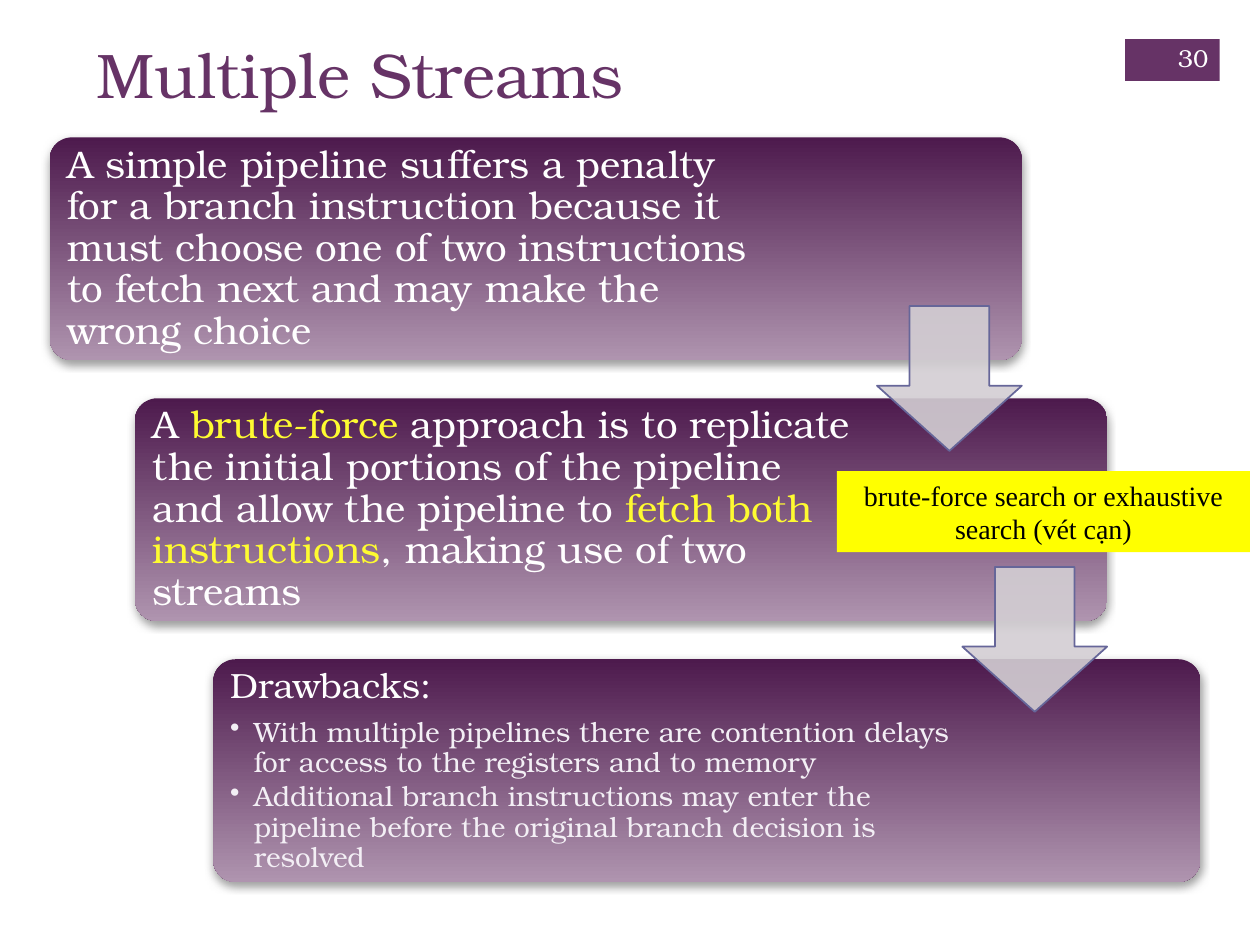
"""Build the "Multiple Streams" slide: three cascading cards joined by arrows."""
from lxml.etree import SubElement
from pptx import Presentation
from pptx.dml.color import RGBColor
from pptx.enum.shapes import MSO_SHAPE
from pptx.enum.text import MSO_ANCHOR, PP_ALIGN
from pptx.oxml.ns import qn
from pptx.util import Cm, Pt

COLORS = {
    "plum": "663366", "dark": "4D1A4D", "light": "AF94AF", "white": "FFFFFF",
    "accent": "FEFB31", "pale": "F3EFF5", "arrow": "D3CED3", "edge": "666699",
    "yellow": "FFFF00", "black": "000000", "shadow": "808080",
}
SERIF = "TeX Gyre Bonum"
TIMES = "Times New Roman"

TITLE = "Multiple Streams"
NUMBER = "30"
NOTE = "brute-force search or exhaustive search (vét cạn)"

CARDS = [
    {"left": 1.0, "width": 19.6, "text_width": 14.76, "inset": 0.23, "paras": [
        (22, False, [("A simple pipeline suffers a penalty for a branch instruction because it "
                      "must choose one of two instructions to fetch next and may make the "
                      "wrong choice", "white")]),
    ]},
    {"left": 2.72, "width": 19.6, "text_width": 14.68, "inset": 0.23, "paras": [
        (22, False, [("A ", "white"), ("brute-force", "accent"),
                     (" approach is to replicate the initial portions of the pipeline "
                      "and allow the pipeline to ", "white"),
                     ("fetch both instructions", "accent"),
                     (", making use of two streams", "white")]),
    ]},
    {"left": 4.3, "width": 19.9, "text_width": 14.94, "inset": 0.21, "paras": [
        (20, False, [("Drawbacks:", "white")]),
        (16, True, [("With multiple pipelines there are contention delays for access to "
                     "the registers and to memory", "pale")]),
        (16, True, [("Additional branch instructions may enter the pipeline before the "
                     "original branch decision is resolved", "pale")]),
    ]},
]
CARD_TOP, CARD_PITCH, CARD_HEIGHT, TEXT_GAP = 2.77, 5.26, 4.49, 0.13
ARROW_SIZE, ARROW_DROP = 2.92, 3.4


def rgb(name):
    return RGBColor.from_string(COLORS[name])


def add_box(s, kind, box, fill=None):
    sp = s.shapes.add_shape(kind, *map(Cm, box))
    sp.shadow.inherit = False
    sp.line.fill.background()
    if fill:
        sp.fill.solid()
        sp.fill.fore_color.rgb = rgb(fill)
    return sp


def set_frame(tf, anchor, insets=(0.25, 0.13)):
    tf.word_wrap = True
    tf.vertical_anchor = anchor
    tf.margin_left = tf.margin_right = Cm(insets[0])
    tf.margin_top = tf.margin_bottom = Cm(insets[1])


def add_run(p, text, size, color, font=SERIF):
    r = p.add_run()
    r.text = text
    r.font.size = Pt(size)
    r.font.name = font
    r.font.color.rgb = rgb(color)


def add_label(s, box, text, size, color, anchor, align=PP_ALIGN.LEFT):
    tf = s.shapes.add_textbox(*map(Cm, box)).text_frame
    set_frame(tf, anchor)
    tf.paragraphs[0].alignment = align
    add_run(tf.paragraphs[0], text, size, color)


def add_shadow(sp):
    effects = sp._element.spPr.find(qn("a:effectLst"))
    shadow = SubElement(effects, qn("a:outerShdw"), blurRad=str(Pt(5)), dist=str(Pt(2)),
                        dir="5400000", rotWithShape="0")
    color = SubElement(shadow, qn("a:srgbClr"), val=COLORS["shadow"])
    SubElement(color, qn("a:alpha"), val="75000")


def add_bullet(p):
    pPr = p._p.get_or_add_pPr()
    pPr.set("marL", str(Cm(0.48)))
    pPr.set("indent", str(-Cm(0.48)))
    SubElement(pPr, qn("a:buChar"), char="•")


def add_card(s, card, top):
    left = card["left"]
    sp = add_box(s, MSO_SHAPE.ROUNDED_RECTANGLE, (left, top, card["width"], CARD_HEIGHT))
    sp.adjustments[0] = 0.1
    sp.fill.gradient()
    sp.fill.gradient_angle = 270
    for stop, name in zip(sp.fill.gradient_stops, ("dark", "light")):
        stop.color.rgb = rgb(name)
    add_shadow(sp)

    box = (left + TEXT_GAP, top + TEXT_GAP, card["text_width"], CARD_HEIGHT - 2 * TEXT_GAP)
    tf = s.shapes.add_textbox(*map(Cm, box)).text_frame
    set_frame(tf, MSO_ANCHOR.MIDDLE, (card["inset"], card["inset"]))
    for i, (size, bulleted, runs) in enumerate(card["paras"]):
        p = tf.add_paragraph() if i else tf.paragraphs[0]
        p.line_spacing = 0.9
        p.space_after = Pt(round(size * (0.15 if bulleted else 0.35), 1))
        if bulleted:
            p.level = 1
            add_bullet(p)
        for text, color in runs:
            add_run(p, text, size, color)


def add_arrow(s, card, top):
    left = card["left"] + card["width"] - ARROW_SIZE
    sp = add_box(s, MSO_SHAPE.DOWN_ARROW, (left, top + ARROW_DROP, ARROW_SIZE, ARROW_SIZE), "arrow")
    sp.adjustments[0], sp.adjustments[1] = 0.55, 0.45
    sp.line.color.rgb = rgb("edge")
    sp.line.width = Pt(1)
    color = sp._element.spPr.find(qn("a:solidFill")).find(qn("a:srgbClr"))
    SubElement(color, qn("a:alpha"), val="90000")


def main():
    prs = Presentation()
    prs.slide_width, prs.slide_height = Cm(25.4), Cm(19.05)
    s = prs.slides.add_slide(prs.slide_layouts[6])

    add_box(s, MSO_SHAPE.RECTANGLE, (22.68, 0.79, 1.91, 0.84), "plum")
    tops = [CARD_TOP + i * CARD_PITCH for i in range(len(CARDS))]
    for card, top in zip(CARDS, tops):
        add_card(s, card, top)
    for card, top in zip(CARDS[:-1], tops):
        add_arrow(s, card, top)

    add_label(s, (1.7, 0.58, 20.98, 1.93), TITLE, 36, "plum", MSO_ANCHOR.TOP)
    sp = add_box(s, MSO_SHAPE.RECTANGLE, (16.87, 9.5, 8.33, 1.63), "yellow")
    set_frame(sp.text_frame, MSO_ANCHOR.MIDDLE)
    p = sp.text_frame.paragraphs[0]
    p.alignment = PP_ALIGN.CENTER
    add_run(p, NOTE, 16, "black", TIMES)
    add_label(s, (23.06, 0.66, 1.55, 1.02), NUMBER, 14, "white", MSO_ANCHOR.MIDDLE, PP_ALIGN.RIGHT)

    prs.save("out.pptx")


if __name__ == "__main__":
    main()
